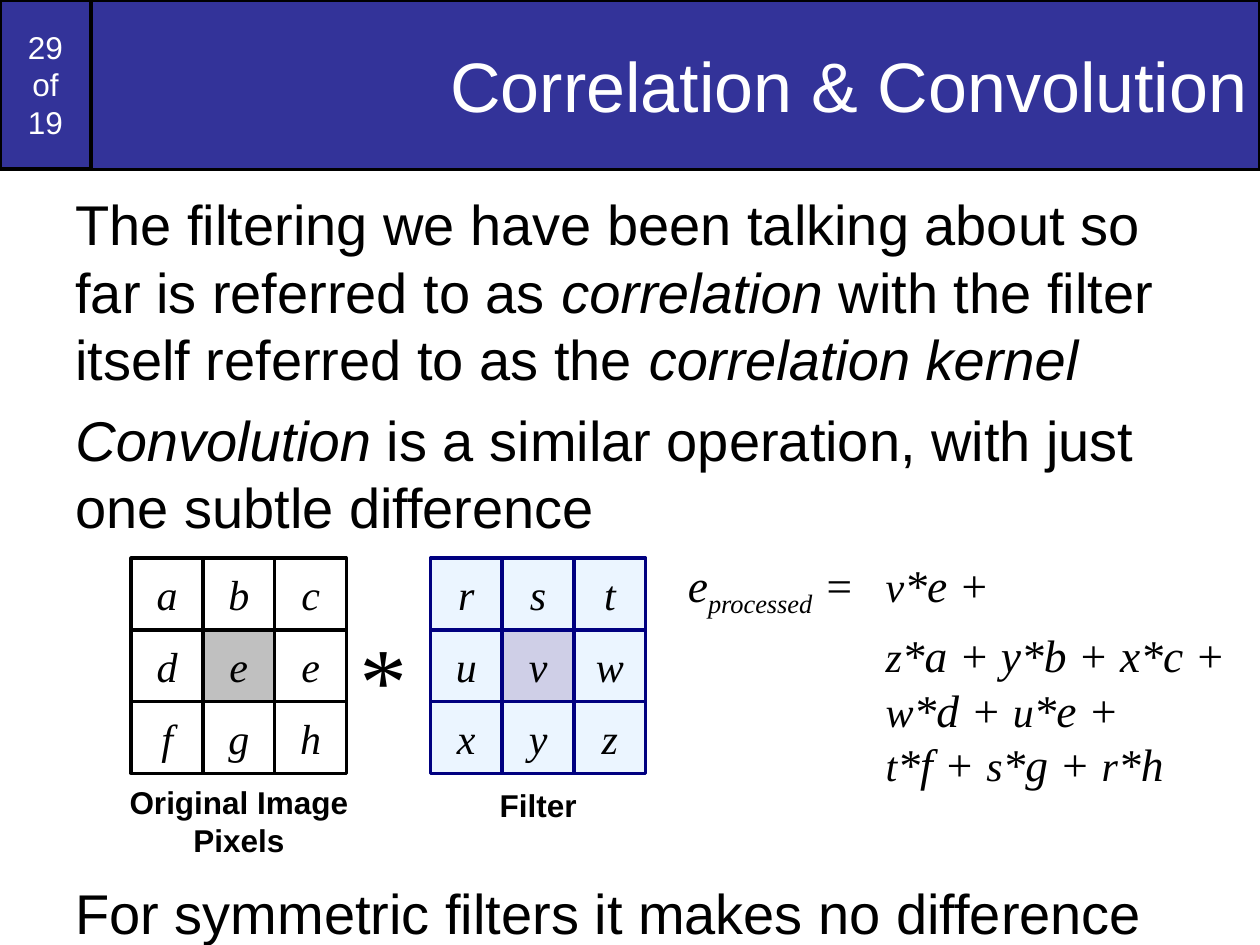
from lxml.etree import SubElement
from pptx import Presentation
from pptx.dml.color import RGBColor
from pptx.enum.shapes import MSO_SHAPE
from pptx.enum.text import MSO_ANCHOR, MSO_AUTO_SIZE, PP_ALIGN
from pptx.oxml.ns import qn
from pptx.util import Pt

HUES = {
    "band": "333399", "ink": "000000", "paper": "FFFFFF",
    "grey": "C0C0C0", "navy": "000080", "sky": "99CCFF",
}
SANS, SERIF = "Arial", "Times New Roman"
CELL = 41
TOP = 319


class Deck:
    def __init__(self, wide, high):
        self.prs = Presentation()
        self.prs.slide_width, self.prs.slide_height = Pt(wide), Pt(high)
        self.slide = self.prs.slides.add_slide(self.prs.slide_layouts[5])

    def hue(self, name):
        return RGBColor.from_string(HUES[name])

    def paint(self, shape, fill, line, alpha=None):
        shape.fill.solid()
        shape.fill.fore_color.rgb = self.hue(fill)
        if alpha:
            clr = shape._element.spPr.find(".//" + qn("a:srgbClr"))
            SubElement(clr, qn("a:alpha"), val=str(alpha * 1000))
        shape.line.color.rgb = self.hue(line)
        shape.line.width = Pt(2)

    def put(self, shape, paras, size, face=SANS, hue="ink", align=PP_ALIGN.LEFT,
            anchor=MSO_ANCHOR.TOP, wrap=True, gaps=(), tab=None, **style):
        """Fill a shape; each paragraph is a list of (text, font overrides)."""
        frame = shape.text_frame
        form = {"word_wrap": wrap, "auto_size": MSO_AUTO_SIZE.NONE,
                "vertical_anchor": anchor}
        for key, val in form.items():
            setattr(frame, key, val)
        for i, runs in enumerate(paras):
            para = frame.add_paragraph() if i else frame.paragraphs[0]
            form = {"alignment": align, "line_spacing": Pt(size * 1.2),
                    "space_before": Pt(gaps[i] if gaps else 0)}
            for key, val in form.items():
                setattr(para, key, val)
            if tab:
                tabs = SubElement(para._p.get_or_add_pPr(), qn("a:tabLst"))
                SubElement(tabs, qn("a:tab"), pos=str(Pt(tab)), algn="l")
            for text, extra in runs:
                run = para.add_run()
                run.text = text
                form = {"size": Pt(size), "name": face, **style, **extra}
                base = form.pop("base", None)
                for key, val in form.items():
                    setattr(run.font, key, val)
                run.font.color.rgb = self.hue(hue)
                if base:
                    run._r.get_or_add_rPr().set("baseline", str(base * 1000))

    def title(self, text, box):
        shape = self.slide.shapes.title
        for key, val in zip(("left", "top", "width", "height"), box):
            setattr(shape, key, Pt(val))
        self.paint(shape, "band", "ink")
        self.put(shape, [[(text, {})]], 40, hue="paper",
                 align=PP_ALIGN.RIGHT, anchor=MSO_ANCHOR.MIDDLE)

    def rect(self, box, paras, size, fill, line, alpha=None, **style):
        shape = self.slide.shapes.add_shape(MSO_SHAPE.RECTANGLE, *map(Pt, box))
        shape.shadow.inherit = False
        self.paint(shape, fill, line, alpha)
        self.put(shape, paras, size, align=PP_ALIGN.CENTER,
                 anchor=MSO_ANCHOR.MIDDLE, **style)

    def label(self, box, paras, size, **style):
        shape = self.slide.shapes.add_textbox(*map(Pt, box))
        self.put(shape, paras, size, **style)

    def grid(self, left, chars, fill, core, line, alpha=None):
        """Draw a 3 by 3 block of letters whose middle cell has its own fill."""
        for i, char in enumerate(chars):
            row, col = divmod(i, 3)
            box = (left + col * CELL, TOP + row * CELL, CELL, CELL)
            self.rect(box, [[(char, {})]], 24, core if i == 4 else fill, line,
                      alpha, face=SERIF, italic=True, wrap=False)


def main():
    deck = Deck(720, 540)
    deck.rect((0, 0, 52, 96.5), [[(t, {})] for t in ("29", "of", "19")], 18,
              "band", "ink", hue="paper")
    deck.title("Correlation & Convolution", (52, 0, 668, 97))

    slant = {"italic": True}
    deck.label((36, 105, 648, 451), [
        [("The filtering we have been talking about so far is referred to as ", {}),
         ("correlation ", slant),
         ("with the filter itself referred to as the ", {}),
         ("correlation kernel", slant)],
        [("Convolution", slant),
         (" is a similar operation, with just one subtle difference", {})],
        [("For symmetric filters it makes no difference", {})],
    ], 32, gaps=(0, 8, 193.6))

    small = {"size": Pt(24)}
    deck.label((386, TOP, 328, 136), [
        [("e", {}), ("processed", {"base": -25}), (" = \t", {}),
         ("v", small), ("*e +", {})],
        [("\t", {}), ("z", small), ("*a + y*b + x*c +", {})],
        [("\t", {}), ("w", small), ("*d + ", {}), ("u", small), ("*e +", {})],
        [("\t", {}), ("t", small), ("*f + ", {}), ("s", small), ("*g + ", {}),
         ("r", small), ("*h", {})],
    ], 26, face=SERIF, italic=True, tab=113, gaps=(0, 4.5, 0, 0))

    deck.grid(246, "rstuvwxyz", "sky", "navy", "navy", alpha=19)
    deck.grid(75, "abcdeefgh", "paper", "grey", "ink")
    mid = {"align": PP_ALIGN.CENTER}
    deck.label((236, 445.5, 143, 29), [[("Filter", {})]], 18, bold=True, **mid)
    deck.label((65, 444, 143, 50), [[("Original Image Pixels", {})]], 18,
               bold=True, **mid)
    deck.label((196, 350.5, 41, 72), [[("*", {})]], 54, face=SERIF,
               italic=True, wrap=False, **mid)
    deck.prs.save("out.pptx")


if __name__ == "__main__":
    main()
